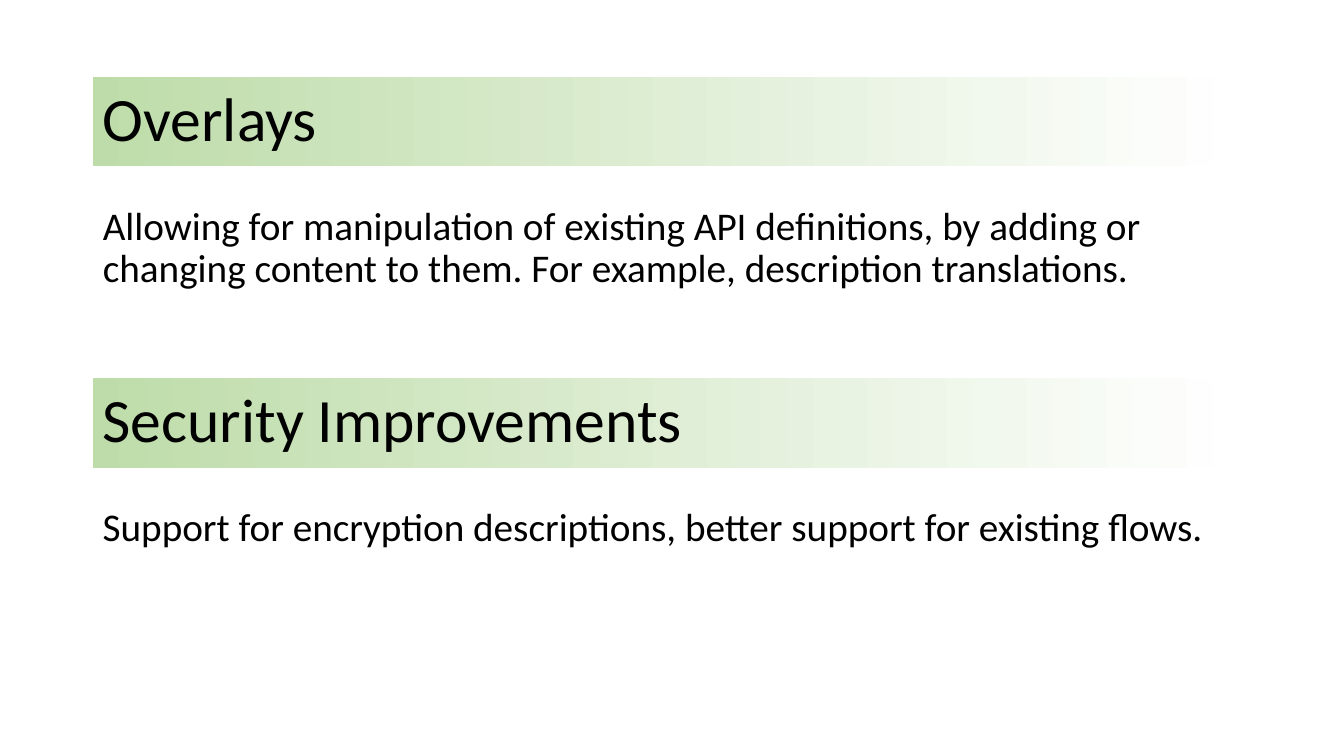
from dataclasses import dataclass

from lxml.etree import SubElement
from pptx import Presentation
from pptx.dml.color import RGBColor
from pptx.enum.text import MSO_ANCHOR, MSO_AUTO_SIZE, PP_ALIGN
from pptx.oxml.ns import qn
from pptx.util import Inches, Pt

SECTIONS = [
    ("Overlays",
     "Allowing for manipulation of existing API definitions, by adding or "
     "changing content to them. For example, description translations."),
    ("Security Improvements",
     "Support for encryption descriptions, better support for existing flows."),
]


@dataclass(frozen=True)
class Theme:
    font: str = "Calibri"
    ink: RGBColor = RGBColor(0x00, 0x00, 0x00)
    band_start: RGBColor = RGBColor(0xBE, 0xDC, 0xAA)
    band_end: RGBColor = RGBColor(0xFF, 0xFF, 0xFF)
    heading_size: int = 44
    body_size: int = 28


THEME = Theme()

LEFT, WIDTH = 0.92, 11.5
FIRST_TOP, SECTION_PITCH = 0.76, 2.99
HEADING_HEIGHT = 0.89
BODY_OFFSET, BODY_HEIGHT = 1.24, 1.75


def place(shape, top, height):
    shape.left, shape.top = Inches(LEFT), Inches(top)
    shape.width, shape.height = Inches(WIDTH), Inches(height)


def write(shape, text, *, size, anchor, space_before=0):
    frame = shape.text_frame
    frame.word_wrap = True
    frame.auto_size = MSO_AUTO_SIZE.NONE
    frame.vertical_anchor = anchor
    paragraph = frame.paragraphs[0]
    paragraph.alignment = PP_ALIGN.LEFT
    paragraph.line_spacing = 0.9
    paragraph.space_before = Pt(space_before)
    properties = paragraph._p.get_or_add_pPr()
    properties.set("marL", "0")
    properties.set("indent", "0")
    SubElement(properties, qn("a:buNone"))
    run = paragraph.add_run()
    run.text = text
    run.font.name = THEME.font
    run.font.size = Pt(size)
    run.font.color.rgb = THEME.ink


def fill_band(shape):
    """Fade the heading band from green at the left to white at the right."""
    shape.fill.gradient()
    shape.fill.gradient_angle = 0
    start, end = shape.fill.gradient_stops
    start.position, start.color.rgb = 0, THEME.band_start
    end.position, end.color.rgb = 0.99, THEME.band_end


def add_text_box(slide):
    return slide.shapes.add_textbox(0, 0, Inches(WIDTH), Inches(1))


def main():
    prs = Presentation()
    prs.slide_width, prs.slide_height = Inches(13.33), Inches(7.5)
    slide = prs.slides.add_slide(prs.slide_layouts[1])

    for index, (heading_text, body_text) in enumerate(SECTIONS):
        if index == 0:
            heading, body = slide.shapes.title, slide.placeholders[1]
        else:
            heading, body = add_text_box(slide), add_text_box(slide)
        top = FIRST_TOP + index * SECTION_PITCH
        place(heading, top, HEADING_HEIGHT)
        fill_band(heading)
        write(heading, heading_text, size=THEME.heading_size,
              anchor=MSO_ANCHOR.MIDDLE)
        place(body, top + BODY_OFFSET, BODY_HEIGHT)
        write(body, body_text, size=THEME.body_size,
              anchor=MSO_ANCHOR.TOP, space_before=10)

    prs.save("out.pptx")


if __name__ == "__main__":
    main()
